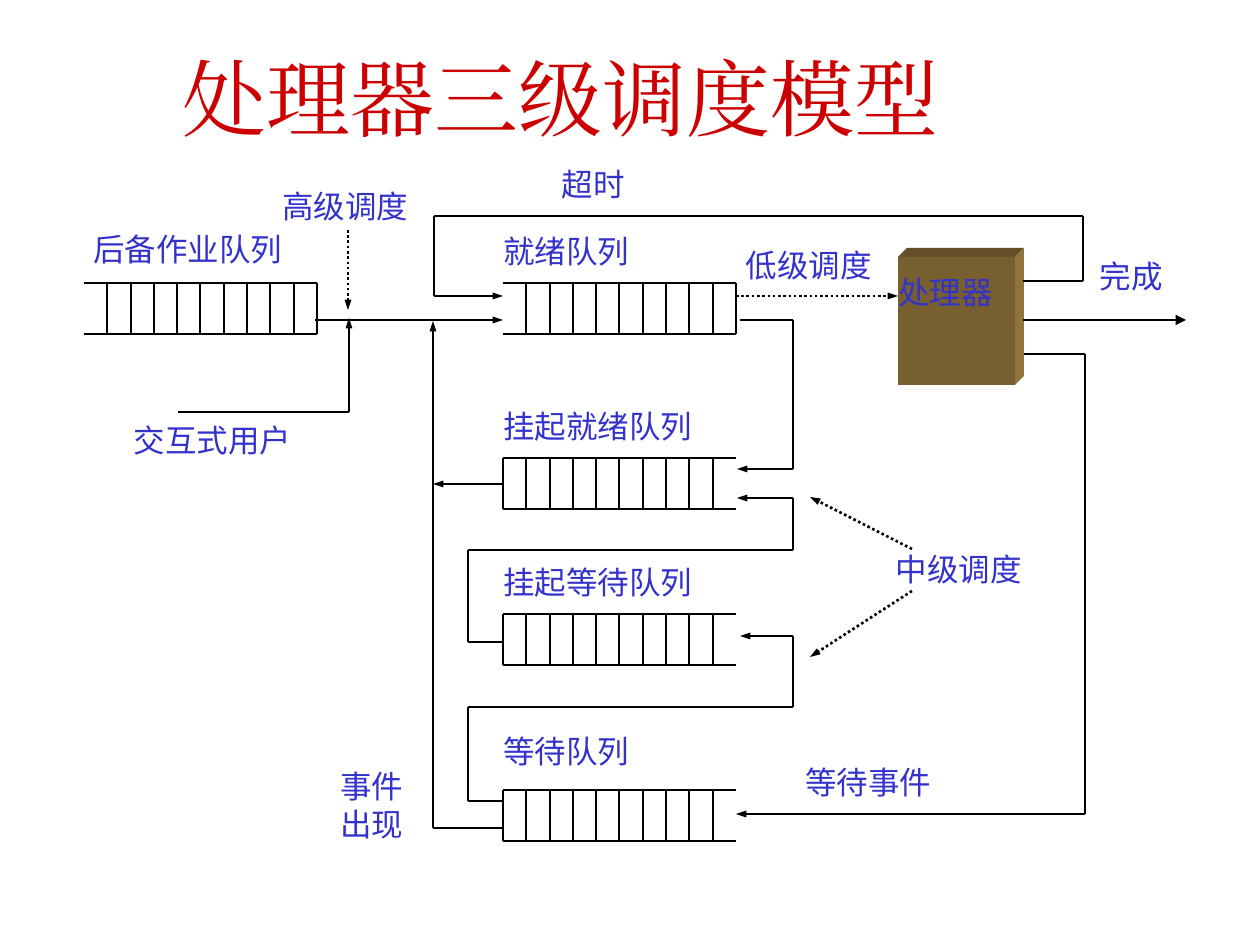
from typing import NamedTuple

from lxml import etree
from pptx import Presentation
from pptx import util as u
from pptx.dml.color import RGBColor
from pptx.enum import dml, shapes, text
from pptx.oxml import ns

PX = 914400 / 126
COLORS = {
    "title": "CC0000",
    "label": "3333CC",
    "line": "000000",
    "face": "785F30",
    "top": "654F28",
    "side": "92733A",
}
LABEL_FONT = "Noto Sans CJK JP"
TITLE_FONT = "Times New Roman"
CELLS = 10


class Point(NamedTuple):
    x: int
    y: int


class Area(NamedTuple):
    left: int
    top: int
    width: int
    height: int


class Queue(NamedTuple):
    left: int
    top: int
    closed_right: bool


class Route(NamedTuple):
    points: list[tuple[int, int]]
    dotted: bool = False
    head_width: str = "sm"


class Label(NamedTuple):
    words: str
    area: Area


QUEUE_WIDTH, QUEUE_HEIGHT = 233, 51
QUEUES = [
    Queue(84, 283, True),
    Queue(503, 283, True),
    Queue(503, 458, False),
    Queue(503, 614, False),
    Queue(503, 790, False),
]
ROUTES = [
    Route([(736, 296), (898, 296)], dotted=True),
    Route([(315, 320), (503, 320)]),
    Route([(1023, 320), (1186, 320)], head_width="med"),
    Route([(1023, 281), (1083, 281), (1083, 216), (434, 216), (434, 296), (503, 296)]),
    Route([(1024, 354), (1085, 354), (1085, 814), (736, 814)]),
    Route([(503, 828), (433, 828), (433, 321)]),
    Route([(503, 484), (433, 484)]),
    Route([(348, 230), (348, 310)], dotted=True),
    Route([(178, 412), (349, 412), (349, 318)]),
    Route([(740, 320), (793, 320), (793, 469), (737, 469)]),
    Route([(503, 642), (468, 642), (468, 550), (793, 550), (793, 498), (737, 498)]),
    Route([(503, 801), (468, 801), (468, 707), (793, 707), (793, 636), (740, 636)]),
    Route([(912, 549), (810, 497)], dotted=True),
    Route([(912, 591), (810, 657)], dotted=True),
]
LABELS = [
    Label("低级调度", Area(746, 246, 142, 38)),
    Label("高级调度", Area(282, 187, 135, 60)),
    Label("完成", Area(1100, 257, 86, 63)),
    Label("超时", Area(562, 165, 391, 50)),
    Label("就绪队列", Area(503, 232, 233, 51)),
    Label("挂起就绪队列", Area(503, 407, 233, 51)),
    Label("挂起等待队列", Area(503, 563, 233, 51)),
    Label("等待队列", Area(503, 732, 233, 51)),
    Label("等待事件", Area(805, 763, 209, 51)),
    Label("交互式用户", Area(134, 421, 163, 53)),
    Label("事件\n出现", Area(340, 767, 93, 102)),
    Label("后备作业队列", Area(93, 230, 222, 53)),
    Label("中级调度", Area(896, 550, 136, 53)),
]
PROCESSOR = Area(898, 257, 117, 128)
DEPTH = 9


def emu(px: float) -> int:
    return round(px * PX)


def color(name: str) -> RGBColor:
    return RGBColor.from_string(COLORS[name])


def write(frame, words: str, *, size: int, font: str, tint: str,
          align=text.PP_ALIGN.LEFT, anchor=text.MSO_ANCHOR.TOP, top_inset: int = 0) -> None:
    frame.word_wrap = True
    frame.auto_size = text.MSO_AUTO_SIZE.NONE
    frame.vertical_anchor = anchor
    frame.margin_left = frame.margin_right = frame.margin_bottom = 0
    frame.margin_top = emu(top_inset)
    for index, line in enumerate(words.split("\n")):
        para = frame.add_paragraph() if index else frame.paragraphs[0]
        para.alignment = align
        span = para.add_run()
        span.text = line
        span.font.size = u.Pt(size)
        span.font.color.rgb = color(tint)
        span.font.name = font
        etree.SubElement(span.font._element, ns.qn("a:ea"), typeface=font)


def draw_line(page, start: Point, end: Point, *, weight: float = 1.5,
              dotted: bool = False, head_width: str = "") -> None:
    line = page.shapes.add_connector(
        shapes.MSO_CONNECTOR.STRAIGHT, *(emu(value) for value in (*start, *end)))
    line.line.color.rgb = color("line")
    line.line.width = u.Pt(weight)
    if dotted:
        line.line.dash_style = dml.MSO_LINE.ROUND_DOT
    if head_width:
        etree.SubElement(line.line._get_or_add_ln(), ns.qn("a:tailEnd"),
                         type="triangle", w=head_width, len="med")
    etree.SubElement(line._element.spPr, ns.qn("a:effectLst"))


def draw_queue(page, queue: Queue) -> None:
    right, bottom = queue.left + QUEUE_WIDTH, queue.top + QUEUE_HEIGHT
    for y in (queue.top, bottom):
        draw_line(page, Point(queue.left, y), Point(right, y))
    end = right if queue.closed_right else queue.left
    draw_line(page, Point(end, queue.top), Point(end, bottom))
    for cell in range(1, CELLS):
        x = queue.left + round(cell * QUEUE_WIDTH / CELLS)
        draw_line(page, Point(x, queue.top), Point(x, bottom), weight=0.75)


def draw_route(page, route: Route) -> None:
    points = [Point(*pair) for pair in route.points]
    for start, end in zip(points, points[1:]):
        head = route.head_width if end is points[-1] else ""
        draw_line(page, start, end, dotted=route.dotted, head_width=head)


def paint(shape, tint: str) -> None:
    shape.shadow.inherit = False
    shape.fill.solid()
    shape.fill.fore_color.rgb = color(tint)
    shape.line.fill.background()


def draw_processor(page, area: Area) -> None:
    left, top, width, height = area
    right, bottom = left + width, top + height
    corner = (right + DEPTH, top - DEPTH)
    faces = {
        "top": [(left, top), (left + DEPTH, top - DEPTH), corner, (right, top)],
        "side": [(right, top), corner, (right + DEPTH, bottom - DEPTH), (right, bottom)],
    }
    for tint, (first, *others) in faces.items():
        outline = page.shapes.build_freeform(*first, scale=PX)
        outline.add_line_segments(others)
        paint(outline.convert_to_shape(), tint)
    box = page.shapes.add_shape(shapes.MSO_SHAPE.RECTANGLE, *map(emu, area))
    paint(box, "face")
    write(box.text_frame, "处理器", size=18, font=LABEL_FONT, tint="label", top_inset=16)


def main() -> None:
    deck = Presentation()
    deck.slide_width, deck.slide_height = emu(1260), emu(945)
    page = deck.slides.add_slide(deck.slide_layouts[5])
    title = page.shapes.title
    title.left, title.top, title.width, title.height = map(emu, Area(25, 18, 1071, 157))
    write(title.text_frame, "处理器三级调度模型", size=48, font=TITLE_FONT, tint="title",
          align=text.PP_ALIGN.CENTER, anchor=text.MSO_ANCHOR.MIDDLE)
    for queue in QUEUES:
        draw_queue(page, queue)
    draw_processor(page, PROCESSOR)
    for route in ROUTES:
        draw_route(page, route)
    for label in LABELS:
        box = page.shapes.add_textbox(*map(emu, label.area))
        write(box.text_frame, label.words, size=18, font=LABEL_FONT, tint="label")
    deck.save("out.pptx")


if __name__ == "__main__":
    main()
